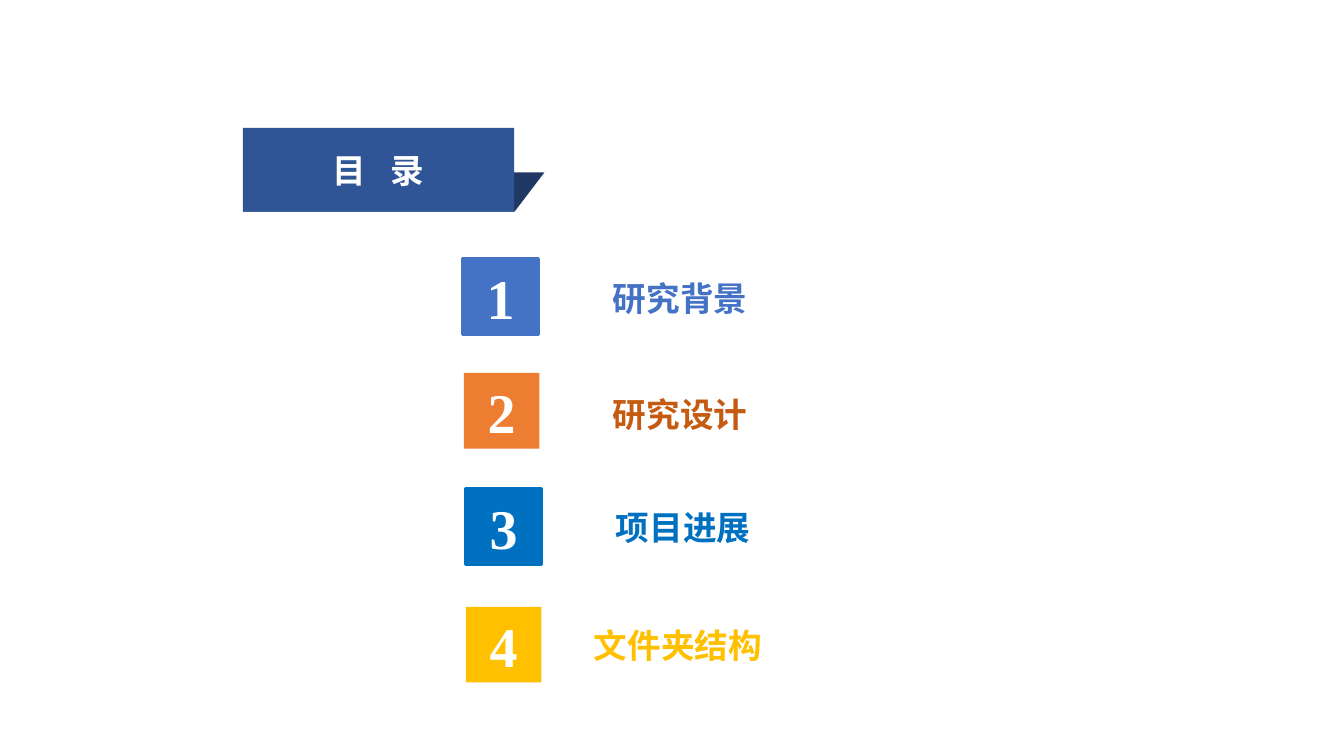
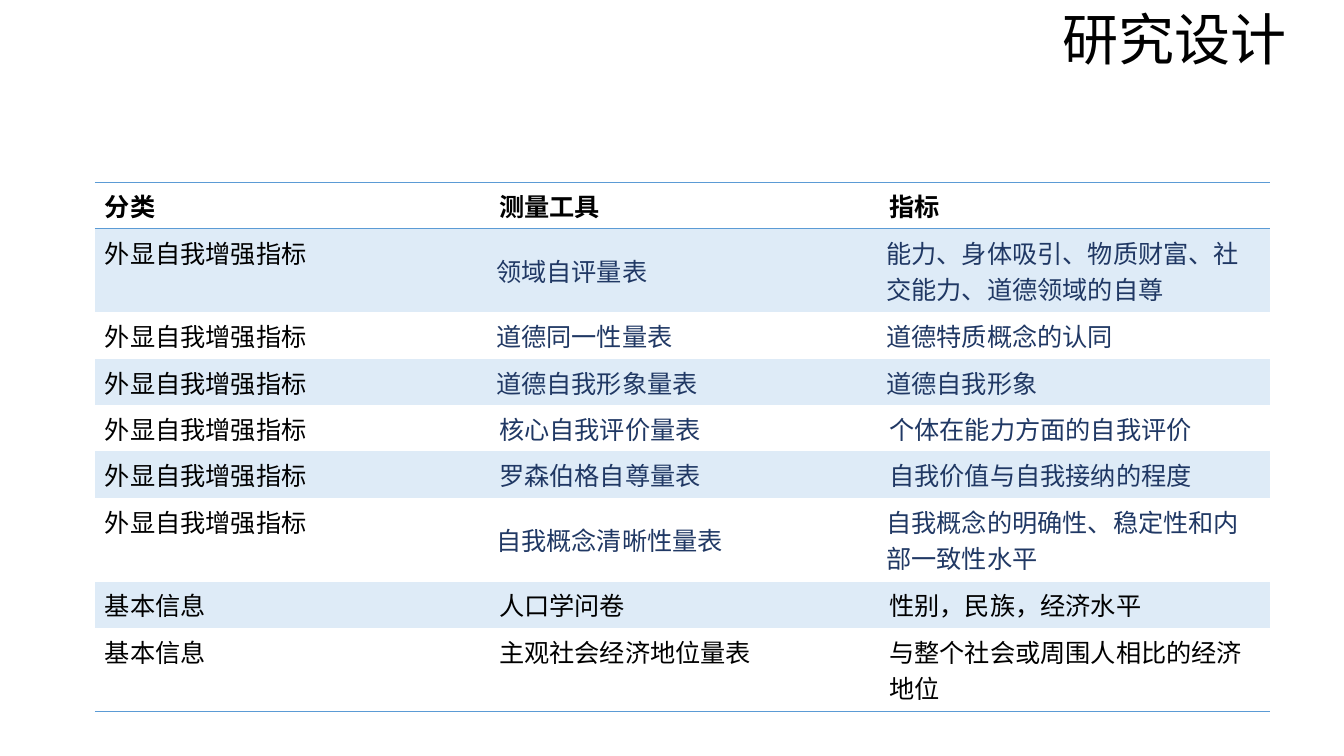
from lxml import etree
from pptx import Presentation
from pptx.dml.color import RGBColor
from pptx.enum.shapes import MSO_SHAPE
from pptx.enum.text import MSO_ANCHOR, PP_ALIGN
from pptx.oxml.ns import qn
from pptx.util import Inches, Pt

RECTANGLE = MSO_SHAPE.RECTANGLE
PARALLELOGRAM = MSO_SHAPE.PARALLELOGRAM
TOP = MSO_ANCHOR.TOP
MIDDLE = MSO_ANCHOR.MIDDLE
LEFT = PP_ALIGN.LEFT
CENTER = PP_ALIGN.CENTER

LATIN_FONT = "Times New Roman"
CHINESE_FONT = "Noto Sans CJK SC"
PLAIN_TABLE_STYLE = "{2D5ABB26-0587-4C30-8999-92F81FD0307C}"

COLORS = {
    "white": "FFFFFF",
    "black": "000000",
    "navy": "203864",
    "banner": "2F5597",
    "blue": "4472C4",
    "orange": "ED7D31",
    "rust": "C55A11",
    "azure": "0070C0",
    "gold": "FFC000",
    "rule": "5B9BD5",
    "band": "DEEBF7",
}

SQUARE_SIZE = 0.75
LABEL_WIDTH = 2.83
AGENDA = [
    ("研究背景", "blue", "blue", (4.59, 2.57), (5.33, 2.58), True),
    ("研究设计", "orange", "rust", (4.6, 3.7), (5.33, 3.73), False),
    ("项目进展", "azure", "azure", (4.62, 4.85), (5.36, 4.85), True),
    ("文件夹结构", "gold", "gold", (4.62, 6.02), (5.31, 6.02), False),
]

HEADER = ("分类", "测量工具", "指标")
EXPLICIT = "外显自我增强指标"
BASIC = "基本信息"
MEASURES = [
    (EXPLICIT, "领域自评量表", "能力、身体吸引、物质财富、社交能力、道德领域的自尊"),
    (EXPLICIT, "道德同一性量表", "道德特质概念的认同"),
    (EXPLICIT, "道德自我形象量表", "道德自我形象"),
    (EXPLICIT, "核心自我评价量表", "个体在能力方面的自我评价"),
    (EXPLICIT, "罗森伯格自尊量表", "自我价值与自我接纳的程度"),
    (EXPLICIT, "自我概念清晰性量表", "自我概念的明确性、稳定性和内部一致性水平"),
    (BASIC, "人口学问卷", "性别，民族，经济水平"),
    (BASIC, "主观社会经济地位量表", "与整个社会或周围人相比的经济地位"),
]
CENTERED_ROWS = {1, 2, 3, 6}
TWO_LINE_ROWS = {1, 6, 8}
COLUMN_WIDTHS = (3.91, 3.87, 3.88)
ROW_HEIGHT = 0.46
TWO_LINE_HEIGHT = 0.83


def rgb(name):
    return RGBColor.from_string(COLORS[name])


def write_text(frame, text, size=18, color="black", bold=False, align=LEFT,
               font=LATIN_FONT, spacing=0):
    paragraph = frame.paragraphs[0]
    paragraph.alignment = align
    run = paragraph.add_run()
    run.text = text
    run.font.size = Pt(size)
    run.font.bold = bold
    run.font.color.rgb = rgb(color)
    run.font.name = font
    properties = run._r.get_or_add_rPr()
    etree.SubElement(properties, qn("a:ea")).set("typeface", CHINESE_FONT)
    if spacing:
        properties.set("spc", str(spacing * 100))


def add_block(slide, kind, left, top, width, height, fill, outlined=False):
    shape = slide.shapes.add_shape(
        kind, Inches(left), Inches(top), Inches(width), Inches(height))
    shape.shadow.inherit = False
    shape.fill.solid()
    shape.fill.fore_color.rgb = rgb(fill)
    if outlined:
        shape.line.color.rgb = rgb(fill)
        shape.line.width = Pt(2.25)
    else:
        shape.line.fill.background()
    shape.text_frame.vertical_anchor = MIDDLE
    return shape


def add_text(slide, text, left, top, width, height, anchor=TOP, inset=(0.1, 0.05), **style):
    frame = slide.shapes.add_textbox(
        Inches(left), Inches(top), Inches(width), Inches(height)).text_frame
    frame.word_wrap = True
    frame.vertical_anchor = anchor
    frame.margin_left = frame.margin_right = Inches(inset[0])
    frame.margin_top = frame.margin_bottom = Inches(inset[1])
    write_text(frame, text, **style)


def add_cell_rule(cell, side):
    line = etree.SubElement(cell._tc.get_or_add_tcPr(), qn(f"a:{side}"), w=str(Pt(1)))
    fill = etree.SubElement(line, qn("a:solidFill"))
    etree.SubElement(fill, qn("a:srgbClr"), val=COLORS["rule"])


def format_cell(cell, text, row, column, last_row):
    is_header = row == 0
    is_navy = column > 0 and 0 < row < 7
    if column > 0 and row in CENTERED_ROWS:
        cell.vertical_anchor = MIDDLE
        cell.margin_left = cell.margin_right = Inches(0.07)
    if is_header:
        add_cell_rule(cell, "lnT")
    if is_header or row == last_row:
        add_cell_rule(cell, "lnB")
    if row % 2:
        cell.fill.solid()
        cell.fill.fore_color.rgb = rgb("band")
    else:
        cell.fill.background()
    write_text(cell.text_frame, text, bold=is_header,
               color="navy" if is_navy else "black")


def add_measure_table(slide, left, top):
    rows = [HEADER, *MEASURES]
    heights = [TWO_LINE_HEIGHT if row in TWO_LINE_ROWS else ROW_HEIGHT
               for row in range(len(rows))]
    table = slide.shapes.add_table(
        len(rows), len(COLUMN_WIDTHS), Inches(left), Inches(top),
        Inches(sum(COLUMN_WIDTHS)), Inches(sum(heights))).table
    table._tbl.tblPr.find(qn("a:tableStyleId")).text = PLAIN_TABLE_STYLE
    for column, width in zip(table.columns, COLUMN_WIDTHS):
        column.width = Inches(width)
    for row, texts in enumerate(rows):
        table.rows[row].height = Inches(heights[row])
        for column, text in enumerate(texts):
            format_cell(table.cell(row, column), text, row, column, len(rows) - 1)


def add_banner(slide, text):
    fold = add_block(slide, PARALLELOGRAM, 2.41, 1.71, 2.99, 0.39, "navy")
    fold.adjustments[0] = 0.76
    banner = add_block(slide, RECTANGLE, 2.41, 1.27, 2.69, 0.83, "banner")
    write_text(banner.text_frame, text, size=24, color="white", bold=True,
               align=CENTER, spacing=6)


def add_agenda_item(slide, number, label, fill, color, square_at, label_at, outlined):
    square = add_block(slide, RECTANGLE, *square_at, SQUARE_SIZE, SQUARE_SIZE, fill, outlined)
    write_text(square.text_frame, str(number), size=40, color="white", bold=True, align=CENTER)
    add_text(slide, label, *label_at, LABEL_WIDTH, SQUARE_SIZE, anchor=MIDDLE,
             inset=(0.16, 0), size=24, color=color, bold=True, align=CENTER)


def build_agenda(slide):
    add_banner(slide, "目 录")
    for number, item in enumerate(AGENDA, start=1):
        add_agenda_item(slide, number, *item)


def build_design(slide):
    add_measure_table(slide, 0.94, 1.81)
    add_text(slide, "研究设计", 10.44, 0, 2.8, 0.77, size=40, font=CHINESE_FONT)


def main():
    presentation = Presentation()
    presentation.slide_width = Inches(13.33)
    presentation.slide_height = Inches(7.5)
    for build in (build_agenda, build_design):
        build(presentation.slides.add_slide(presentation.slide_layouts[6]))
    presentation.save("out.pptx")


if __name__ == "__main__":
    main()
